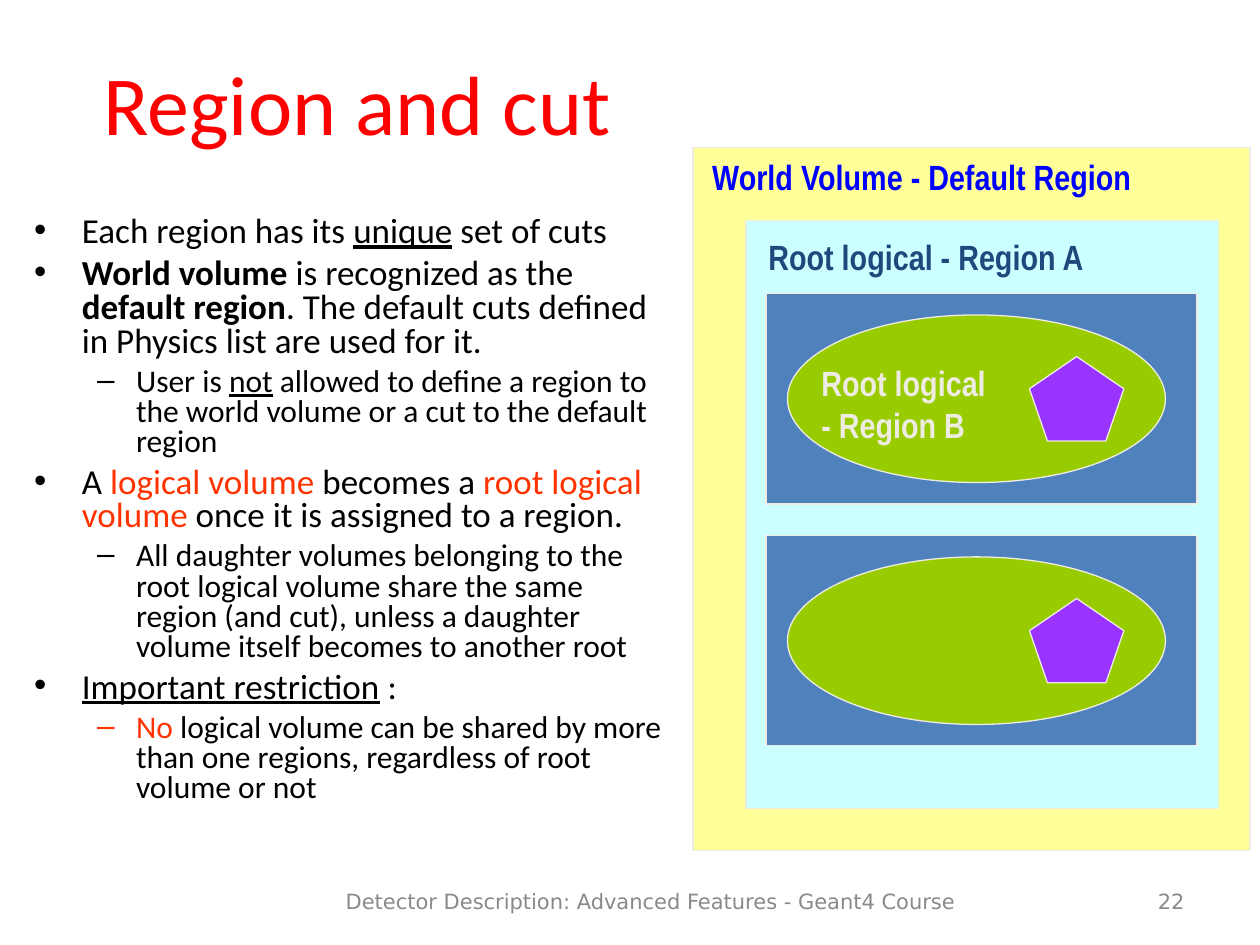
"""Builds the slide on detector regions and production cuts."""
from dataclasses import dataclass

from pptx import Presentation
from pptx.dml.color import RGBColor
from pptx.enum.shapes import MSO_SHAPE as Shape
from pptx.enum.text import MSO_ANCHOR as Anchor, MSO_AUTO_SIZE as AutoSize, PP_ALIGN as Align
from pptx.util import Inches, Pt


@dataclass(frozen=True)
class Theme:
    title: str = "FF0000"
    text: str = "000000"
    accent: str = "FF3300"
    footer: str = "898989"
    outline: str = "EEECE1"
    world: str = "FFFF99"
    world_label: str = "0000FF"
    region_a: str = "CCFFFF"
    region_a_label: str = "1F497D"
    envelope: str = "4F81BD"
    root: str = "99CC00"
    daughter: str = "9933FF"
    body_font: str = "Calibri"
    label_font: str = "Arial Narrow"
    footer_font: str = "DejaVu Sans"
    title_size: int = 48
    point_size: int = 20
    detail_size: int = 18
    footer_size: int = 12


theme = Theme()


def write(paragraph, text, size=theme.point_size, font=theme.body_font,
          color=theme.text, bold=False, underline=False):
    run = paragraph.add_run()
    run.text = text
    run.font.size = Pt(size)
    run.font.name = font
    run.font.color.rgb = RGBColor.from_string(color)
    run.font.bold = bold
    run.font.underline = underline


def add_volume(kind, left, top, width, height, fill):
    volume = slide.shapes.add_shape(kind, Inches(left), Inches(top), Inches(width), Inches(height))
    volume.shadow.inherit = False
    volume.fill.solid()
    volume.fill.fore_color.rgb = RGBColor.from_string(fill)
    volume.line.color.rgb = RGBColor.from_string(theme.outline)
    volume.line.width = Pt(0.75)


deck = Presentation()
deck.slide_width, deck.slide_height = Inches(10), Inches(7.5)
slide = deck.slides.add_slide(deck.slide_layouts[1])

title = slide.shapes.title
title.left, title.top, title.width, title.height = map(Inches, (0.5, 0.42, 4.67, 0.77))
title.text_frame.auto_size = AutoSize.NONE
title.text_frame.vertical_anchor = Anchor.MIDDLE
heading = title.text_frame.paragraphs[0]
heading.alignment = Align.CENTER
write(heading, "Region and cut", size=theme.title_size, color=theme.title)

strong = {"bold": True}
underlined = {"underline": True}
accented = {"color": theme.accent}
points = [
    (0, [("Each region has its ", {}), ("unique", underlined), (" set of cuts", {})]),
    (0, [("World volume", strong), (" is recognized as the ", {}), ("default region", strong),
         (". The default cuts defined in Physics list are used for it.", {})]),
    (1, [("User is ", {}), ("not", underlined),
         (" allowed to define a region to the world volume or a cut to the default region", {})]),
    (0, [("A ", {}), ("logical volume", accented), (" becomes a ", {}),
         ("root logical volume", accented), (" once it is assigned to a region.", {})]),
    (1, [("All daughter volumes belonging to the root logical volume share the same region "
          "(and cut), unless a daughter volume itself becomes to another root", {})]),
    (0, [("Important restriction", underlined), (" :", {})]),
    (1, [("No", accented), (" logical volume can be shared by more than one regions, "
                            "regardless of root volume or not", {})]),
]
levels = [(theme.point_size, 5, 0.38, -0.38), (theme.detail_size, 4.5, 0.81, -0.31)]

body = slide.placeholders[1]
body.left, body.top, body.width, body.height = map(Inches, (0.17, 1.67, 5.25, 5.25))
body.text_frame.auto_size = AutoSize.NONE
for index, (level, phrases) in enumerate(points):
    point = body.text_frame.add_paragraph() if index else body.text_frame.paragraphs[0]
    size, space, margin, indent = levels[level]
    point.level = level
    point.line_spacing = 0.8
    point.space_before = Pt(space)
    properties = point._p.get_or_add_pPr()
    properties.set("marL", str(Inches(margin)))
    properties.set("indent", str(Inches(indent)))
    for phrase, emphasis in phrases:
        write(point, phrase, size=size, **emphasis)

add_volume(Shape.RECTANGLE, 5.5, 1.17, 4.42, 5.58, theme.world)
add_volume(Shape.RECTANGLE, 5.92, 1.75, 3.75, 4.67, theme.region_a)
for top in (2.33, 4.25):
    add_volume(Shape.RECTANGLE, 6.08, top, 3.42, 1.67, theme.envelope)
    add_volume(Shape.OVAL, 6.25, top + 0.17, 3, 1.33, theme.root)
    add_volume(Shape.REGULAR_PENTAGON, 8.17, top + 0.5, 0.75, 0.67, theme.daughter)

label = {"font": theme.label_font, "bold": True}
footer = {"font": theme.footer_font, "size": theme.footer_size, "color": theme.footer}
captions = [
    ("World Volume - Default Region", (5.54, 1.25, 3.55, 0.37), Align.CENTER, Anchor.TOP,
     False, 0.8, 0, {**label, "color": theme.world_label}),
    ("Root logical - Region A", (6, 1.82, 3.5, 0.44), Align.LEFT, Anchor.TOP,
     True, 1, 12.5, {**label, "color": theme.region_a_label}),
    ("Root logical - Region B", (6.42, 2.82, 1.58, 0.77), Align.LEFT, Anchor.TOP,
     True, 1, 12.5, {**label, "color": theme.outline}),
    ("Detector Description: Advanced Features - Geant4 Course", (2.33, 6.95, 5.67, 0.4),
     Align.CENTER, Anchor.MIDDLE, True, 1, 0, footer),
    ("22", (8.58, 6.95, 0.92, 0.4), Align.RIGHT, Anchor.MIDDLE, True, 1, 0, footer),
]
for text, place, alignment, anchor, wrap, spacing, space, style in captions:
    frame = slide.shapes.add_textbox(*map(Inches, place)).text_frame
    frame.word_wrap = wrap
    frame.vertical_anchor = anchor
    caption = frame.paragraphs[0]
    caption.alignment = alignment
    caption.line_spacing = spacing
    caption.space_before = Pt(space)
    write(caption, text, **style)

deck.save("out.pptx")
